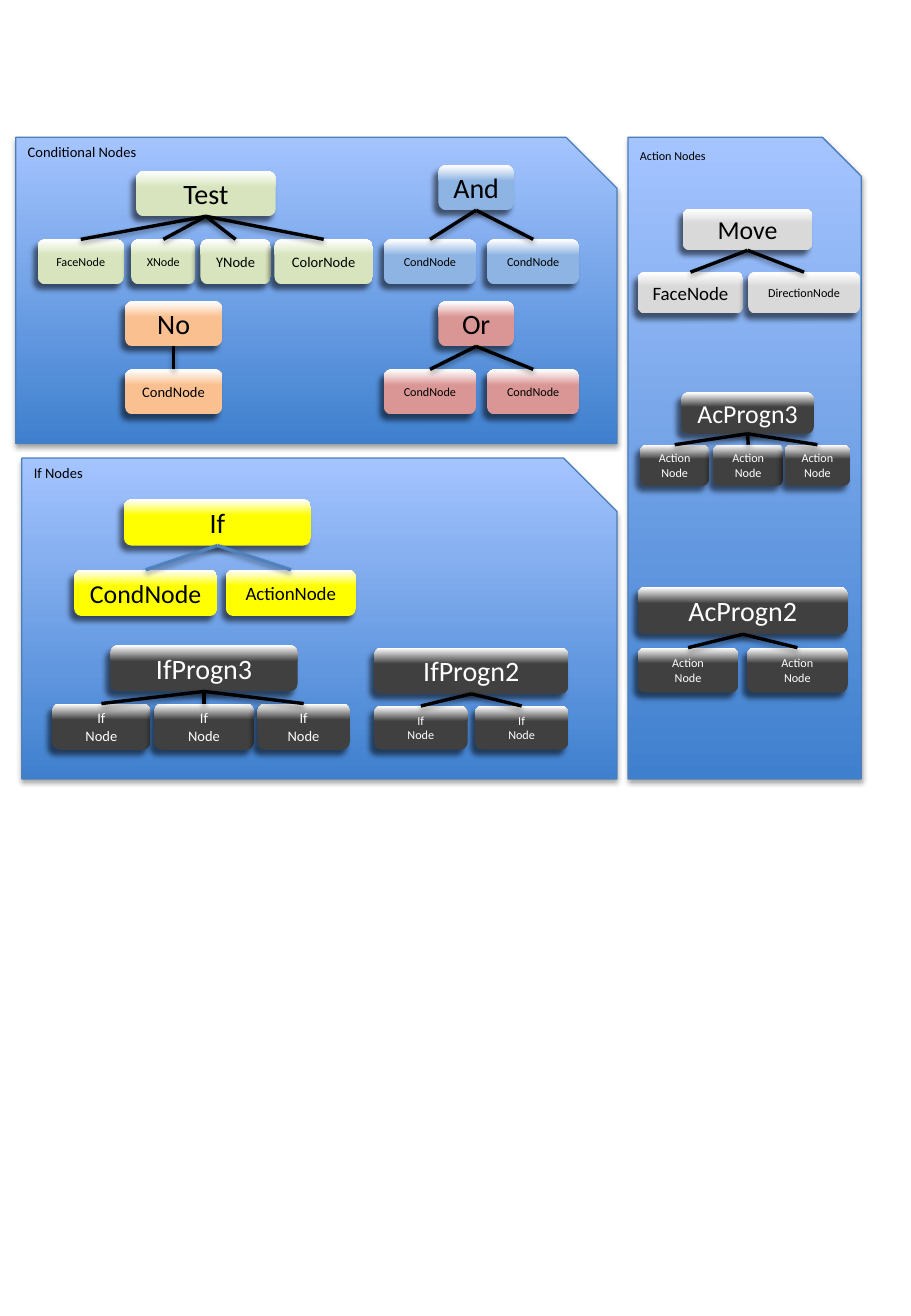
from dataclasses import dataclass

from lxml import etree
from pptx import Presentation
from pptx.dml.color import RGBColor
from pptx.enum import shapes, text
from pptx.oxml import ns
from pptx.util import Inches, Pt


@dataclass(frozen=True)
class Shadow:
    alpha: int
    blur: float
    distance: float
    angle: int


@dataclass(frozen=True)
class Theme:
    font: str = "Calibri"
    black: str = "000000"
    white: str = "FFFFFF"
    panel_bottom: str = "3F80CE"
    panel_top: str = "A4C4FF"
    panel_edge: str = "4B7EBC"
    blue_line: str = "4F81BD"
    green: str = "D7E4BD"
    blue: str = "8EB4E3"
    red: str = "D99694"
    orange: str = "FAC090"
    grey: str = "D9D9D9"
    dark: str = "404040"
    yellow: str = "FFFF00"
    tiny: float = 7.2
    small: float = 8.6
    medium: float = 11.2
    large: float = 15.3
    huge: float = 16.6
    panel_shadow: Shadow = Shadow(35, 3.1, 1.8, 90)
    node_shadow: Shadow = Shadow(54, 3.2, 4, 128)
    link_shadow: Shadow = Shadow(38, 3.1, 1.6, 90)


T = Theme()


@dataclass(frozen=True)
class Panel:
    label: str
    left: float
    top: float
    width: float
    height: float
    size: float = T.small
    label_drop: float = 0


@dataclass(frozen=True)
class Node:
    text: str
    left: float
    width: float
    size: float = T.tiny


@dataclass(frozen=True)
class Tree:
    root: Node
    children: list[Node]
    top: float
    child_top: float
    height: float
    fill: str
    ink: str = T.black
    link: str = T.black
    child_height: float = 0  # zero means the same height as the root


PANELS = [
    Panel("Conditional Nodes", 0.13, 1.13, 4.95, 2.52),
    Panel("Action Nodes", 5.17, 1.13, 1.92, 5.28, T.tiny, 0.04),
    Panel("If Nodes", 0.18, 3.77, 4.9, 2.64),
]


def row(caption: str, lefts: list[float], widths: list[float], size: float = T.tiny) -> list[Node]:
    return [Node(caption, left, width, size) for left, width in zip(lefts, widths)]


COND_PAIR = row("CondNode", [3.16, 4.01], [0.76] * 2)

TREES = [
    # Conditional nodes
    Tree(Node("Test", 1.12, 1.15, T.huge),
         [Node("FaceNode", 0.31, 0.71), Node("XNode", 1.08, 0.53),
          Node("YNode", 1.65, 0.58, T.small), Node("ColorNode", 2.26, 0.81, T.small)],
         1.41, 1.97, 0.37, T.green),
    Tree(Node("And", 3.61, 0.62, T.huge), COND_PAIR, 1.36, 1.97, 0.37, T.blue),
    Tree(Node("Or", 3.61, 0.62, T.huge), COND_PAIR, 2.48, 3.04, 0.37, T.red),
    Tree(Node("No", 1.03, 0.8, T.huge), [Node("CondNode", 1.03, 0.8, T.small)],
         2.48, 3.04, 0.37, T.orange),
    # Action nodes
    Tree(Node("Move", 5.62, 1.07, T.large),
         [Node("FaceNode", 5.25, 0.87, T.medium), Node("DirectionNode", 6.16, 0.92)],
         1.72, 2.24, 0.34, T.grey),
    Tree(Node("AcProgn3", 5.61, 1.09, T.large),
         row("Action\nNode", [5.27, 5.87, 6.46], [0.57, 0.58, 0.54]),
         3.23, 3.66, 0.34, T.dark, T.white),
    Tree(Node("AcProgn2", 5.25, 1.73, T.huge),
         row("Action\nNode", [5.25, 6.15], [0.83] * 2),
         4.83, 5.33, 0.39, T.dark, T.white, child_height=0.37),
    # If nodes
    Tree(Node("If", 1.02, 1.54, T.huge),
         [Node("CondNode", 0.61, 1.18, T.large), Node("ActionNode", 1.86, 1.07, T.medium)],
         4.11, 4.69, 0.38, T.yellow, link=T.blue_line),
    Tree(Node("IfProgn3", 0.91, 1.54, T.huge),
         row("If\nNode", [0.43, 1.27, 2.12], [0.81, 0.82, 0.76], T.small),
         5.31, 5.79, 0.38, T.dark, T.white),
    Tree(Node("IfProgn2", 3.08, 1.6, T.huge),
         row("If\nNode", [3.08, 3.91], [0.77] * 2),
         5.33, 5.81, 0.38, T.dark, T.white, child_height=0.36),
]


def write(tf, content: str, *, size: float, color: str = T.black,
          align=text.PP_ALIGN.LEFT, anchor=text.MSO_ANCHOR.TOP,
          margin: float = 0.1, wrap: bool = True) -> None:
    tf.word_wrap = wrap
    tf.vertical_anchor = anchor
    tf.margin_left = tf.margin_right = Inches(margin)
    tf.margin_top = tf.margin_bottom = Inches(margin / 2)
    for i, line in enumerate(content.split("\n")):
        p = tf.add_paragraph() if i else tf.paragraphs[0]
        p.alignment = align
        r = p.add_run()
        r.text = line
        r.font.name = T.font
        r.font.size = Pt(size)
        r.font.color.rgb = RGBColor.from_string(color)


def cast_shadow(sp, shadow: Shadow) -> None:
    props = sp._element.spPr
    effects = props.find(ns.qn("a:effectLst"))
    if effects is None:
        effects = etree.SubElement(props, ns.qn("a:effectLst"))
    outer = etree.SubElement(effects, ns.qn("a:outerShdw"),
                             blurRad=str(Pt(shadow.blur)), dist=str(Pt(shadow.distance)),
                             dir=str(shadow.angle * 60000), rotWithShape="0")
    color = etree.SubElement(outer, ns.qn("a:srgbClr"), val=T.black)
    etree.SubElement(color, ns.qn("a:alpha"), val=str(shadow.alpha * 1000))


def add_block(slide, kind, left: float, top: float, width: float, height: float, *,
              stops: list[tuple[float, str]], shadow: Shadow, edge: str = ""):
    sp = slide.shapes.add_shape(kind, Inches(left), Inches(top), Inches(width), Inches(height))
    sp.fill.gradient()
    sp.fill.gradient_angle = 90
    for stop, (position, color) in zip(sp.fill.gradient_stops, stops):
        stop.position = position
        stop.color.rgb = RGBColor.from_string(color)
    if edge:
        sp.line.color.rgb = RGBColor.from_string(edge)
        sp.line.width = Pt(0.75)
    else:
        sp.line.fill.background()
    sp.shadow.inherit = False
    cast_shadow(sp, shadow)
    return sp


def draw_panel(slide, panel: Panel) -> None:
    add_block(slide, shapes.MSO_SHAPE.SNIP_1_RECTANGLE,
              panel.left, panel.top, panel.width, panel.height,
              stops=[(0, T.panel_bottom), (1, T.panel_top)],
              shadow=T.panel_shadow, edge=T.panel_edge)
    label = slide.shapes.add_textbox(Inches(panel.left), Inches(panel.top + panel.label_drop),
                                     Inches(1.4), Inches(0.23))
    write(label.text_frame, panel.label, size=panel.size)


def draw_node(slide, node: Node, top: float, height: float, tree: Tree):
    sp = add_block(slide, shapes.MSO_SHAPE.ROUNDED_RECTANGLE, node.left, top, node.width, height,
                   stops=[(0.65, tree.fill), (0.99, T.white)], shadow=T.node_shadow)
    write(sp.text_frame, node.text, size=node.size, color=tree.ink, margin=0.02,
          align=text.PP_ALIGN.CENTER, anchor=text.MSO_ANCHOR.MIDDLE)
    return sp


def draw_tree(slide, tree: Tree) -> None:
    root = draw_node(slide, tree.root, tree.top, tree.height, tree)
    height = tree.child_height or tree.height
    children = [draw_node(slide, child, tree.child_top, height, tree) for child in tree.children]
    for child in children:
        link = slide.shapes.add_connector(shapes.MSO_CONNECTOR.STRAIGHT, 0, 0, 0, 0)
        link.begin_connect(root, 2)
        link.end_connect(child, 0)
        link.line.color.rgb = RGBColor.from_string(tree.link)
        link.line.width = Pt(2)
        cast_shadow(link, T.link_shadow)


def main() -> None:
    prs = Presentation()
    prs.slide_width, prs.slide_height = Inches(7.5), Inches(10.83)
    slide = prs.slides.add_slide(prs.slide_layouts[6])
    for panel in PANELS:
        draw_panel(slide, panel)
    for tree in TREES:
        draw_tree(slide, tree)
    prs.save("out.pptx")


if __name__ == "__main__":
    main()
